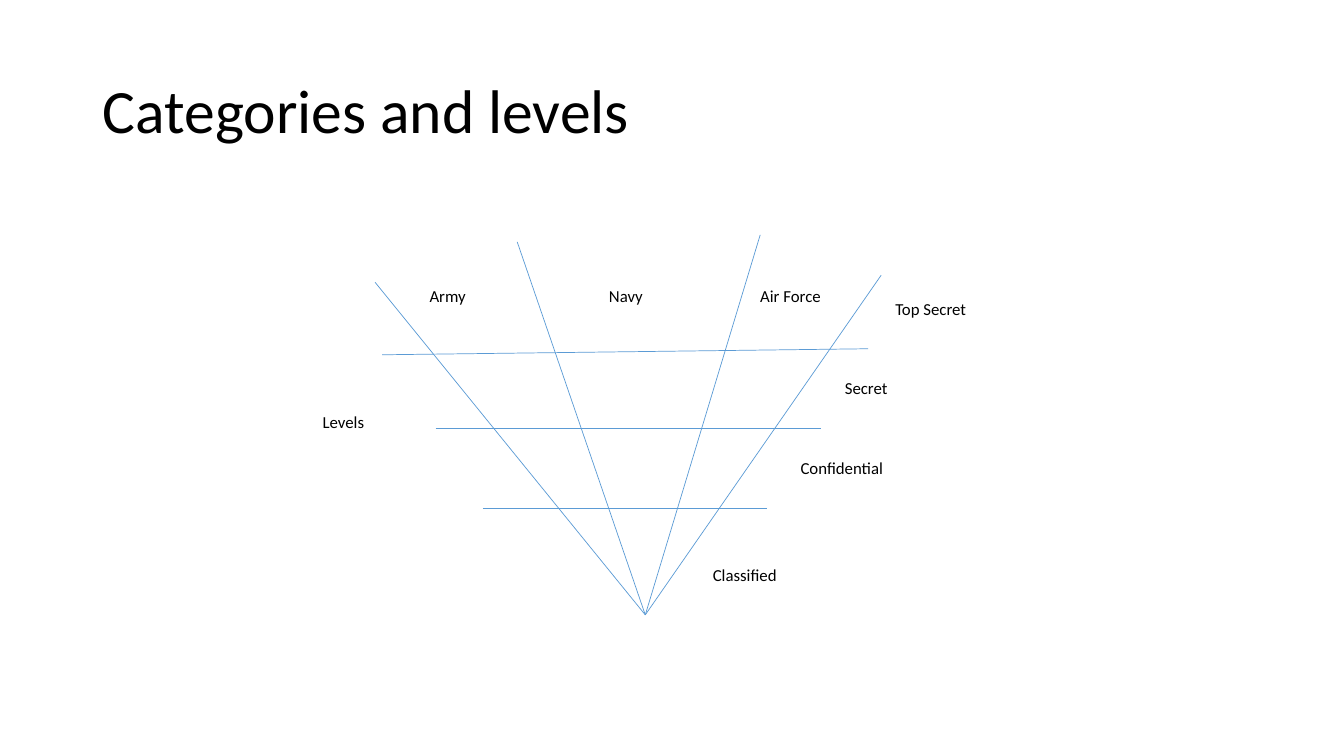
"""Builds the slide that crosses service categories with secrecy levels."""
from pptx import Presentation
from pptx.dml.color import RGBColor
from pptx.enum.shapes import MSO_CONNECTOR
from pptx.enum.text import MSO_ANCHOR
from pptx.oxml.ns import qn
from pptx.util import Pt
from lxml.etree import SubElement

PX = 9144
COLORS = {"text": "000000", "line": "5B9BD5"}
FONT = "Calibri"

deck = Presentation()
deck.slide_width, deck.slide_height = 1333 * PX, 750 * PX
page = deck.slides.add_slide(deck.slide_layouts[6])


def add_text(text, left, top, width, height, size, margins):
    box = page.shapes.add_textbox(left * PX, top * PX, width * PX, height * PX)
    frame = box.text_frame
    frame.word_wrap = True
    frame.margin_left, frame.margin_right = margins[0] * PX, margins[1] * PX
    frame.margin_top = frame.margin_bottom = margins[2] * PX
    para = frame.paragraphs[0]
    para.text = text
    para.font.name = FONT
    para.font.size = Pt(size)
    para.font.color.rgb = RGBColor.from_string(COLORS["text"])
    return frame


title = add_text("Categories and levels", 92, 40, 1150, 145, 44, (10, 10, 5))
title.vertical_anchor = MSO_ANCHOR.MIDDLE
title.paragraphs[0].line_spacing = 0.9

apex = (640, 610)
category_tops = [(372, 280), (874, 273), (513, 240), (754, 233)]
level_lines = [
    ((479, 504), (761, 504)),
    ((432, 425), (814, 425)),
    ((379, 352), (861, 346)),
]
for start, end in [(top, apex) for top in category_tops] + level_lines:
    line = page.shapes.add_connector(
        MSO_CONNECTOR.STRAIGHT, *(value * PX for value in start + end))
    line.line.color.rgb = RGBColor.from_string(COLORS["line"])
    line.line.width = Pt(0.5)
    SubElement(line._element.spPr, qn("a:effectLst"))

labels = [
    ("Classified", 700, 557, 154, 0),
    ("Confidential", 787, 451, 127, 0),
    ("Secret", 821, 372, 127, 10),
    ("Top Secret", 881, 293, 127, 0),
    ("Air Force", 747, 280, 94, 0),
    ("Navy", 560, 280, 147, 37),
    ("Army", 419, 280, 94, 0),
    ("Levels", 292, 405, 127, 21),
]
for text, left, top, width, indent in labels:
    add_text(text, left, top, width, 27, 12, (7 + indent, 7, 3))

deck.save("out.pptx")
